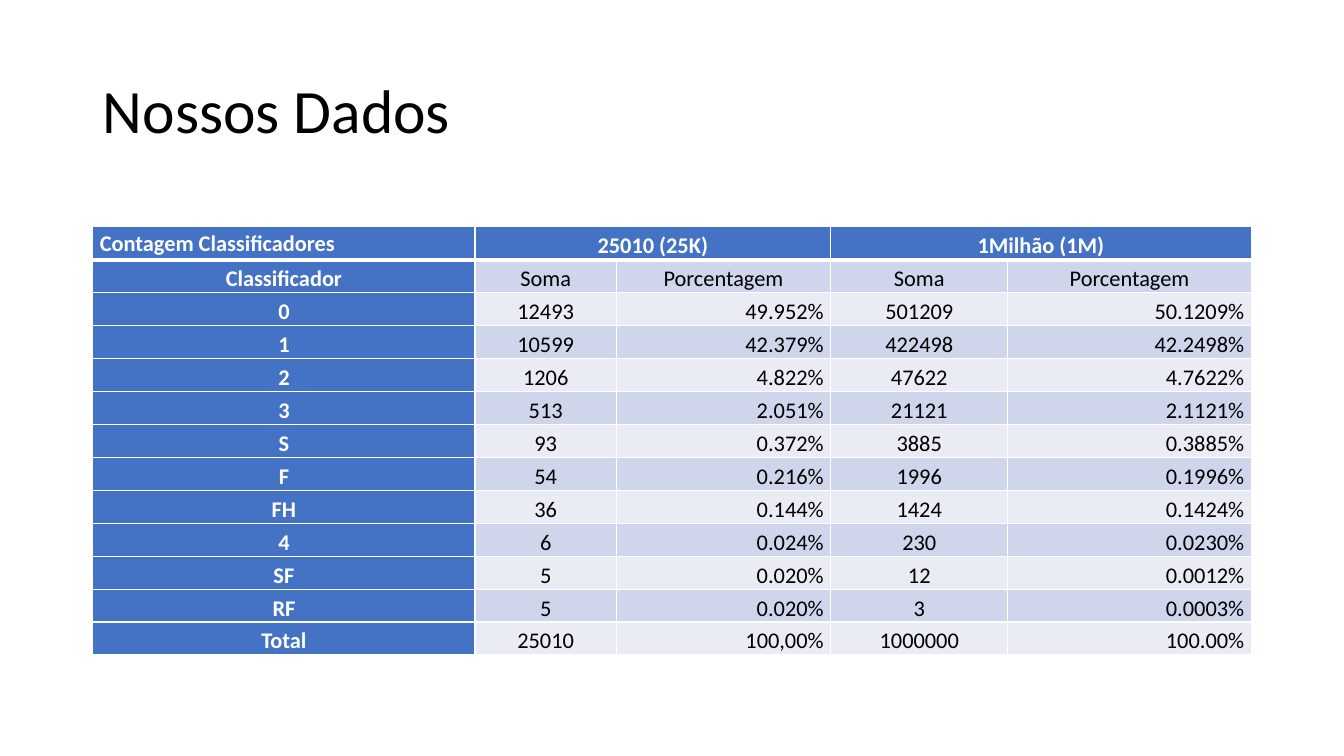
from dataclasses import dataclass
from typing import NamedTuple

from lxml import etree
from pptx import Presentation
from pptx import util as u
from pptx.dml import color
from pptx.enum import text
from pptx.oxml import ns


@dataclass(frozen=True)
class Theme:
    font: str = "Calibri"
    title_size: int = 44
    cell_size: int = 16
    title_spacing: float = 0.9
    cell_spacing: float = 1.07
    ink: str = "000000"
    paper: str = "FFFFFF"
    header: str = "4472C4"
    bands: tuple[str, str] = ("E9EBF5", "CFD5EA")
    thin: int = 1
    thick: int = 3


class Count(NamedTuple):
    classifier: str
    sum_25k: str
    share_25k: str
    sum_1m: str
    share_1m: str


@dataclass(frozen=True)
class CellStyle:
    fill: str
    ink: str
    bold: bool
    align: text.PP_ALIGN
    anchor: text.MSO_ANCHOR


THEME = Theme()
WIDTH, HEIGHT = u.Inches(13.33), u.Inches(7.5)
MARGIN = u.Inches(0.92)
CONTENT_WIDTH = WIDTH - 2 * MARGIN
TABLE_TOP = int(HEIGHT * 0.3)
TABLE_HEIGHT = u.Inches(4.25)
COLUMN_SHARES = (0.33, 0.122, 0.185, 0.153, 0.21)
SHARE_COLUMNS = (2, 4)
GROUP_COLUMNS = (1, 3)

COUNTS = (
    Count("Contagem Classificadores", "25010 (25K)", "", "1Milhão (1M)", ""),
    Count("Classificador", "Soma", "Porcentagem", "Soma", "Porcentagem"),
    Count("0", "12493", "49.952%", "501209", "50.1209%"),
    Count("1", "10599", "42.379%", "422498", "42.2498%"),
    Count("2", "1206", "4.822%", "47622", "4.7622%"),
    Count("3", "513", "2.051%", "21121", "2.1121%"),
    Count("S", "93", "0.372%", "3885", "0.3885%"),
    Count("F", "54", "0.216%", "1996", "0.1996%"),
    Count("FH", "36", "0.144%", "1424", "0.1424%"),
    Count("4", "6", "0.024%", "230", "0.0230%"),
    Count("SF", "5", "0.020%", "12", "0.0012%"),
    Count("RF", "5", "0.020%", "3", "0.0003%"),
    Count("Total", "25010", "100,00%", "1000000", "100.00%"),
)


def style_for(row: int, column: int) -> CellStyle:
    heading = row == 0 or column == 0
    align = text.PP_ALIGN.CENTER
    if row == column == 0:
        align = text.PP_ALIGN.LEFT
    elif row > 1 and column in SHARE_COLUMNS:
        align = text.PP_ALIGN.RIGHT
    return CellStyle(
        fill=THEME.header if heading else THEME.bands[row % 2],
        ink=THEME.paper if heading else THEME.ink,
        bold=heading,
        align=align,
        anchor=text.MSO_ANCHOR.MIDDLE if row == column == 0 else text.MSO_ANCHOR.BOTTOM,
    )


def format_text(para, size: int, ink: str, bold: bool, spacing: float) -> None:
    para.line_spacing = spacing
    for span in para.runs:
        span.font.name = THEME.font
        span.font.size = u.Pt(size)
        span.font.bold = bold
        span.font.color.rgb = color.RGBColor.from_string(ink)


def add_borders(cell, row: int) -> None:
    properties = cell._tc.get_or_add_tcPr()
    weights = {
        "lnL": THEME.thin,
        "lnR": THEME.thin,
        "lnT": THEME.thick if row == 1 else THEME.thin,
        "lnB": THEME.thick if row == 0 else THEME.thin,
    }
    for side, weight in weights.items():
        line = etree.SubElement(properties, ns.qn(f"a:{side}"), w=str(u.Pt(weight)))
        fill = etree.SubElement(line, ns.qn("a:solidFill"))
        etree.SubElement(fill, ns.qn("a:srgbClr"), val=THEME.paper)


def draw_cell(cell, row: int, column: int, value: str) -> None:
    style = style_for(row, column)
    add_borders(cell, row)
    cell.fill.solid()
    cell.fill.fore_color.rgb = color.RGBColor.from_string(style.fill)
    cell.margin_left = cell.margin_right = u.Inches(0.07)
    cell.margin_top = cell.margin_bottom = 0
    cell.vertical_anchor = style.anchor
    cell.text_frame.text = value
    para = cell.text_frame.paragraphs[0]
    para.alignment = style.align
    format_text(para, THEME.cell_size, style.ink, style.bold, THEME.cell_spacing)


def draw_title(page, title: str) -> None:
    box = page.shapes.title
    box.left, box.top = MARGIN, u.Inches(0.4)
    box.width, box.height = CONTENT_WIDTH, u.Inches(1.45)
    frame = box.text_frame
    frame.text = title
    frame.word_wrap = True
    frame.auto_size = text.MSO_AUTO_SIZE.NONE
    frame.vertical_anchor = text.MSO_ANCHOR.MIDDLE
    para = frame.paragraphs[0]
    para.alignment = text.PP_ALIGN.LEFT
    format_text(para, THEME.title_size, THEME.ink, False, THEME.title_spacing)


def draw_counts(page) -> None:
    table = page.shapes.add_table(
        len(COUNTS), len(COLUMN_SHARES), MARGIN, TABLE_TOP, CONTENT_WIDTH, TABLE_HEIGHT
    ).table
    table.horz_banding = False
    for column, share in zip(table.columns, COLUMN_SHARES):
        column.width = int(CONTENT_WIDTH * share)
    for row, count in enumerate(COUNTS):
        for column, value in enumerate(count):
            draw_cell(table.cell(row, column), row, column, value)
    for column in GROUP_COLUMNS:
        table.cell(0, column).merge(table.cell(0, column + 1))


deck = Presentation()
deck.slide_width, deck.slide_height = WIDTH, HEIGHT
page = deck.slides.add_slide(deck.slide_layouts.get_by_name("Title Only"))
draw_title(page, "Nossos Dados")
draw_counts(page)
deck.save("out.pptx")
